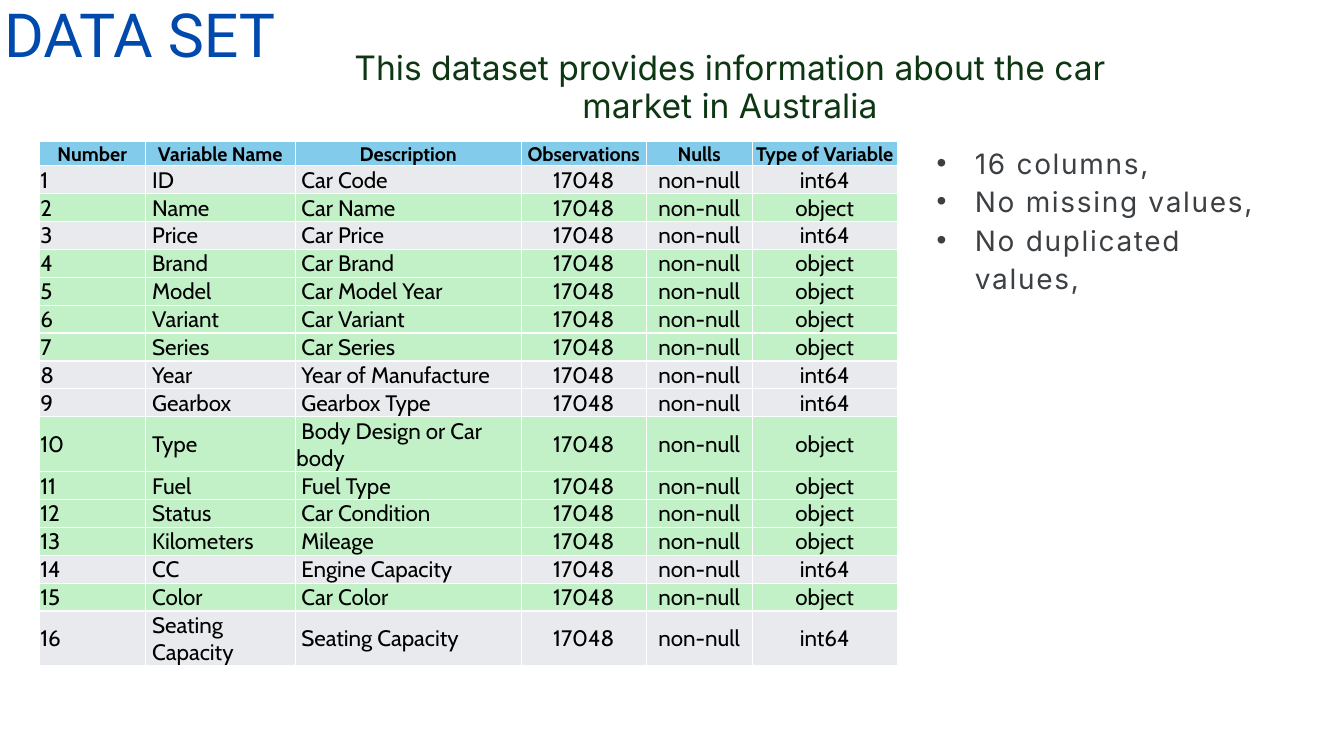
from dataclasses import dataclass

from lxml.etree import SubElement
from pptx import Presentation
from pptx.dml.color import RGBColor
from pptx.enum.text import MSO_ANCHOR as Anchor, MSO_AUTO_SIZE as AutoSize, PP_ALIGN as Align
from pptx.oxml.ns import qn
from pptx.util import Inches, Pt

TITLE = "DATA SET"
SUBTITLE = "This dataset provides information about the car market in Australia"
FINDINGS = ["16 columns,", "No missing values,", "No duplicated values,"]
HEADERS = ["Number", "Variable Name", "Description", "Observations", "Nulls", "Type of Variable"]
OBSERVATIONS, NULLS = "17048", "non-null"
VARIABLES = [
    ("ID", "Car Code", "int64"),
    ("Name", "Car Name", "object"),
    ("Price", "Car Price", "int64"),
    ("Brand", "Car Brand", "object"),
    ("Model", "Car Model Year", "object"),
    ("Variant", "Car Variant", "object"),
    ("Series", "Car Series", "object"),
    ("Year", "Year of Manufacture", "int64"),
    ("Gearbox", "Gearbox Type", "int64"),
    ("Type", "Body Design or Car body", "object"),
    ("Fuel", "Fuel Type", "object"),
    ("Status", "Car Condition", "object"),
    ("Kilometers", "Mileage", "object"),
    ("CC", "Engine Capacity", "int64"),
    ("Color", "Car Color", "object"),
    ("Seating Capacity", "Seating Capacity", "int64"),
]
COLUMN_WIDTHS = [1.05, 1.49, 2.24, 1.24, 1.05, 1.44]
HEADER_HEIGHT, ROW_HEIGHT = 0.18, 0.23
NAME_COLUMN, DESCRIPTION_COLUMN, FIRST_CENTERED = 1, 2, 3


@dataclass(frozen=True)
class Theme:
    title_font: str = "Roboto"
    text_font: str = "Inter"
    table_font: str = "Cabin"
    title_size: float = 43.4
    subtitle_size: float = 24
    finding_size: float = 20
    header_size: float = 14
    cell_size: float = 16
    title: str = "004AAD"
    subtitle: str = "0D3612"
    finding: str = "3C4043"
    cell_text: str = "000000"
    header_fill: str = "83CBEB"
    number_fill: str = "E8EAED"
    object_fill: str = "C2F1C8"
    border: str = "FFFFFF"


THEME = Theme()


def style(para, font, size, color, bold=False):
    for span in para.runs:
        span.font.name = font
        span.font.size = Pt(size)
        span.font.bold = bold
        span.font.color.rgb = RGBColor.from_string(color)


def prepare(box, left, top, width, height):
    """Place a text shape and give its frame wrapping, no margins and a top anchor."""
    box.left, box.top, box.width, box.height = map(Inches, (left, top, width, height))
    frame = box.text_frame
    frame.word_wrap = True
    frame.auto_size = AutoSize.SHAPE_TO_FIT_TEXT
    frame.vertical_anchor = Anchor.TOP
    frame.margin_left = frame.margin_top = frame.margin_right = frame.margin_bottom = 0
    return frame


def add_text(slide, *place):
    return prepare(slide.shapes.add_textbox(0, 0, 0, 0), *place)


def add_title(slide):
    frame = prepare(slide.shapes.title, 0.04, 0.08, 4.89, 0.62)
    frame.text = TITLE
    para = frame.paragraphs[0]
    para.alignment, para.line_spacing = Align.LEFT, Pt(43.8)
    style(para, THEME.title_font, THEME.title_size, THEME.title)


def add_subtitle(slide):
    frame = add_text(slide, 3.13, 0.48, 8.22, 0.79)
    frame.text = SUBTITLE
    para = frame.paragraphs[0]
    para.alignment, para.line_spacing = Align.CENTER, Pt(27.5)
    style(para, THEME.text_font, THEME.subtitle_size, THEME.subtitle)


def add_findings(slide):
    frame = add_text(slide, 9.29, 1.4, 3.27, 1.55)
    frame.text = "\n".join(FINDINGS)
    for para in frame.paragraphs:
        properties = para._p.get_or_add_pPr()
        properties.set("marL", str(Inches(0.38)))
        properties.set("indent", str(-Inches(0.38)))
        SubElement(properties, qn("a:buFont")).set("typeface", "Arial")
        SubElement(properties, qn("a:buChar")).set("char", "•")
        para.line_spacing = Pt(27.5)
        style(para, THEME.text_font, THEME.finding_size, THEME.finding)
        for span in para.runs:
            span.font._element.set("spc", "120")


def add_borders(cell):
    properties = cell._tc.get_or_add_tcPr()
    for side in ("a:lnL", "a:lnR", "a:lnT", "a:lnB"):
        line = SubElement(properties, qn(side), w=str(Pt(1)))
        fill = SubElement(line, qn("a:solidFill"))
        SubElement(fill, qn("a:srgbClr"), val=THEME.border)


def fill_cell(cell, text, column, color, is_header):
    cell.text = text
    cell.margin_left = cell.margin_top = cell.margin_right = Inches(0.01)
    cell.margin_bottom = 0
    cell.vertical_anchor = Anchor.BOTTOM if is_header else Anchor.MIDDLE
    add_borders(cell)
    cell.fill.solid()
    cell.fill.fore_color.rgb = RGBColor.from_string(color)
    para = cell.text_frame.paragraphs[0]
    if is_header or column >= FIRST_CENTERED:
        para.alignment = Align.CENTER
    elif column == NAME_COLUMN:
        cell.margin_left = Inches(0.07)
    elif column == DESCRIPTION_COLUMN:
        para._p.get_or_add_pPr().set("indent", str(Inches(0.05)))
    size = THEME.header_size if is_header else THEME.cell_size
    style(para, THEME.table_font, size, THEME.cell_text, is_header)


def add_variables(slide):
    rows = [HEADERS] + [
        (str(number), name, description, OBSERVATIONS, NULLS, kind)
        for number, (name, description, kind) in enumerate(VARIABLES, 1)
    ]
    fills = {"int64": THEME.number_fill, "object": THEME.object_fill}
    frame = slide.shapes.add_table(
        len(rows), len(HEADERS), Inches(0.39), Inches(1.4), Inches(8.53), Inches(5.17))
    table = frame.table
    table.first_row = table.horz_banding = False
    for column, width in zip(table.columns, COLUMN_WIDTHS):
        column.width = Inches(width)
    for index, values in enumerate(rows):
        is_header = index == 0
        table.rows[index].height = Inches(HEADER_HEIGHT if is_header else ROW_HEIGHT)
        color = fills.get(values[-1], THEME.header_fill)
        for column, text in enumerate(values):
            fill_cell(table.cell(index, column), text, column, color, is_header)
    frame.height = Inches(5.17)


def main():
    deck = Presentation()
    deck.slide_width, deck.slide_height = Inches(13.33), Inches(7.5)
    slide = deck.slides.add_slide(deck.slide_layouts.get_by_name("Title Only"))
    add_title(slide)
    add_subtitle(slide)
    add_variables(slide)
    add_findings(slide)
    deck.save("out.pptx")


if __name__ == "__main__":
    main()
